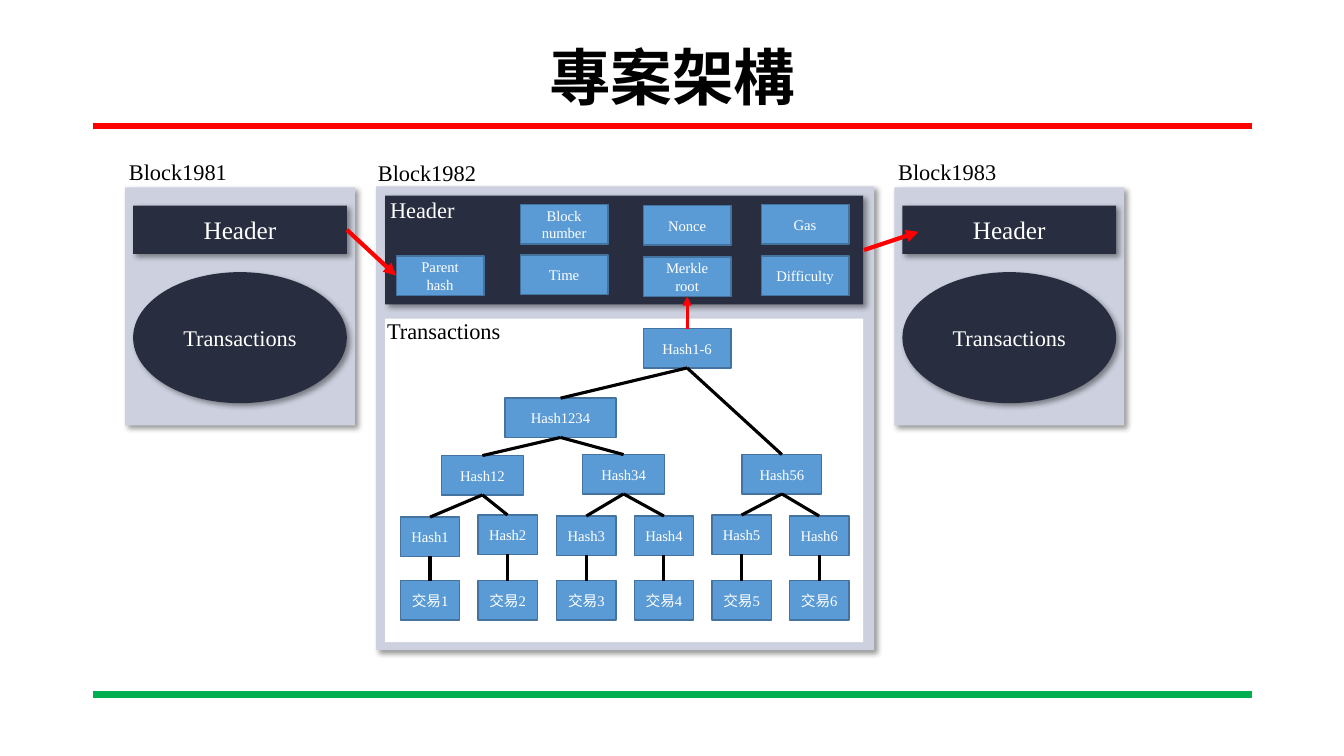
from lxml.etree import SubElement
from pptx import Presentation
from pptx.dml.color import RGBColor
from pptx.enum.shapes import MSO_CONNECTOR, MSO_SHAPE
from pptx.enum.text import MSO_ANCHOR, PP_ALIGN
from pptx.oxml import parse_xml
from pptx.oxml.ns import nsdecls, qn
from pptx.util import Pt

PX = 9144  # 100 px to the inch
FONT = "Times New Roman"
NAVY, PALE, BLUE, EDGE = "282D3F", "CDD1DF", "5B9BD5", "43739E"
BLACK, WHITE, RED, GREEN = "000000", "FFFFFF", "FF0000", "00B050"
SHADOW = (
    f'<a:effectLst {nsdecls("a")}><a:outerShdw blurRad="50800" dist="38100" dir="2700000" '
    'algn="tl" rotWithShape="0"><a:srgbClr val="000000"><a:alpha val="40000"/></a:srgbClr>'
    '</a:outerShdw></a:effectLst>'
)
color = RGBColor.from_string

deck = Presentation()
deck.slide_width, deck.slide_height = 1333 * PX, 750 * PX
page = deck.slides.add_slide(deck.slide_layouts[6])


def add_box(text, left, top, width, height, fill=None, edge=None, shape=MSO_SHAPE.RECTANGLE,
            shadow=False, size=10.5, ink=WHITE, bold=False, align=PP_ALIGN.CENTER,
            anchor=MSO_ANCHOR.MIDDLE, spacing=None):
    place = [value * PX for value in (left, top, width, height)]
    if fill:
        box = page.shapes.add_shape(shape, *place)
        box.fill.solid()
        box.fill.fore_color.rgb = color(fill)
        if edge:
            box.line.color.rgb = color(edge)
            box.line.width = Pt(1)
        else:
            box.line.fill.background()
        box.shadow.inherit = False
        if shadow:
            properties = box._element.spPr
            properties.replace(properties.find(qn("a:effectLst")), parse_xml(SHADOW))
    else:
        box = page.shapes.add_textbox(*place)
    frame = box.text_frame
    frame.word_wrap = True
    frame.vertical_anchor = anchor
    for index, words in enumerate(text.split("\n") if text else []):
        para = frame.add_paragraph() if index else frame.paragraphs[0]
        para.alignment = align
        para.line_spacing = spacing
        span = para.add_run()
        span.text = words
        span.font.name = FONT
        span.font.size = Pt(size)
        span.font.bold = bold
        span.font.color.rgb = color(ink)
    return box


def add_line(start, end, ink=BLACK, weight=2.25, arrow=False):
    line = page.shapes.add_connector(
        MSO_CONNECTOR.STRAIGHT, *[value * PX for value in (*start, *end)])
    line.line.color.rgb = color(ink)
    line.line.width = Pt(weight)
    if arrow:
        SubElement(line.line._get_or_add_ln(), qn("a:tailEnd"), type="triangle")
    SubElement(line._element.spPr, qn("a:effectLst"))
    return line


# Title and rules
add_line((92, 125), (1242, 125), ink=RED, weight=4.5)
add_line((92, 689), (1242, 689), ink=GREEN, weight=4.5)
add_box("專案架構", 92, 40, 1150, 79, size=44, ink=BLACK, bold=True, spacing=0.9)

# Middle block: panels and captions
caption = dict(size=16, align=PP_ALIGN.LEFT, anchor=MSO_ANCHOR.TOP)
add_box("", 373, 185, 494, 460, fill=PALE, shadow=True)
add_box("", 382, 194, 474, 108, fill=NAVY, shadow=True)
add_box("", 382, 316, 474, 321, fill=WHITE)
add_box("Block1982", 365, 153, 125, 37, ink=BLACK, **caption)
add_box("Header", 377, 190, 124, 37, **caption)
add_box("Transactions", 374, 310, 159, 37, ink=BLACK, **caption)

# Header fields
fields = {}
for name, left, top in [
    ("Block\nnumber", 516, 203), ("Nonce", 638, 204), ("Gas", 755, 203),
    ("Parent\nhash", 393, 254), ("Time", 516, 253),
    ("Merkle root", 638, 255), ("Difficulty", 755, 254),
]:
    fields[name] = add_box(name, left, top, 87, 39, fill=BLUE, edge=EDGE)

# Merkle tree: name, centre, top, width, parent
tree = [
    ("Hash1-6", 681, 326, 87, None),
    ("Hash1234", 556, 395, 110, "Hash1-6"),
    ("Hash56", 775, 451, 79, "Hash1-6"),
    ("Hash12", 478, 452, 81, "Hash1234"),
    ("Hash34", 618, 451, 81, "Hash1234"),
]
pairs = ["Hash12", "Hash34", "Hash56"]
for index, top in enumerate([513, 511, 512, 512, 511, 512]):
    centre = round(426 + 77.3 * index)
    leaf = f"Hash{index + 1}"
    tree.append((leaf, centre, top, 59, pairs[index // 2]))
    tree.append((f"交易{index + 1}", centre, 576, 59, leaf))

nodes = {}
for name, centre, top, width, parent in tree:
    nodes[name] = add_box(name, centre - width // 2, top, width, 39, fill=BLUE, edge=EDGE)
places = {name: (centre, top) for name, centre, top, width, parent in tree}
for name, centre, top, width, parent in tree:
    if parent:
        branch = add_line((places[parent][0], places[parent][1] + 39), (centre, top))
        branch.begin_connect(nodes[parent], 2)
        branch.end_connect(nodes[name], 0)

# Neighbouring blocks
headers = {}
for name, left in [("Block1981", 124), ("Block1983", 887)]:
    add_box("", left, 186, 228, 236, fill=PALE, shadow=True)
    headers[name] = add_box("Header", left + 8, 204, 212, 48, fill=NAVY, shadow=True, size=18)
    add_box("Transactions", left + 8, 270, 212, 130, fill=NAVY, shadow=True,
            shape=MSO_SHAPE.OVAL, size=16)
    add_box(name, left - 6, 152, 125, 37, ink=BLACK, **caption)

# Red arrows
root_arrow = add_line((681, 326), (681, 294), ink=RED, arrow=True)
root_arrow.begin_connect(nodes["Hash1-6"], 0)
root_arrow.end_connect(fields["Merkle root"], 2)
parent_arrow = add_line((344, 228), (393, 273), ink=RED, weight=3, arrow=True)
parent_arrow.begin_connect(headers["Block1981"], 3)
parent_arrow.end_connect(fields["Parent\nhash"], 1)
add_line((857, 248), (911, 230), ink=RED, weight=3, arrow=True)

deck.save("out.pptx")
